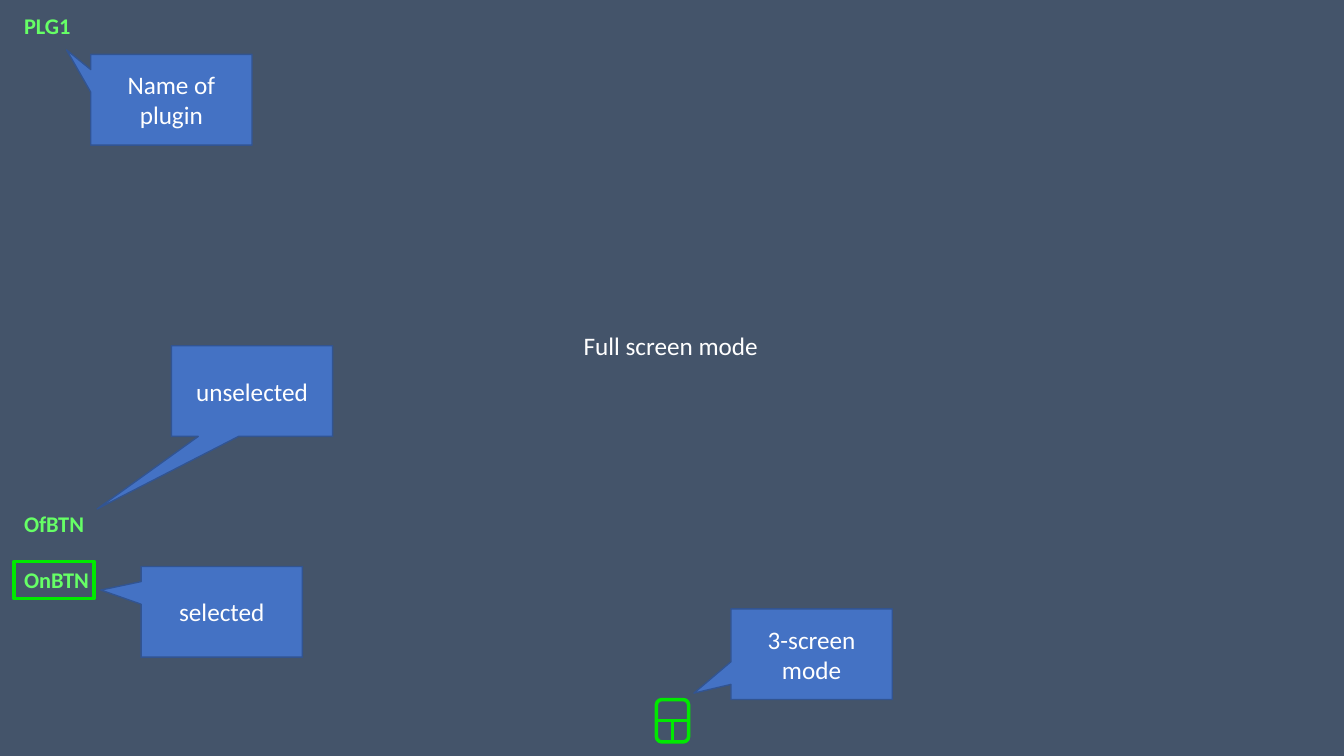
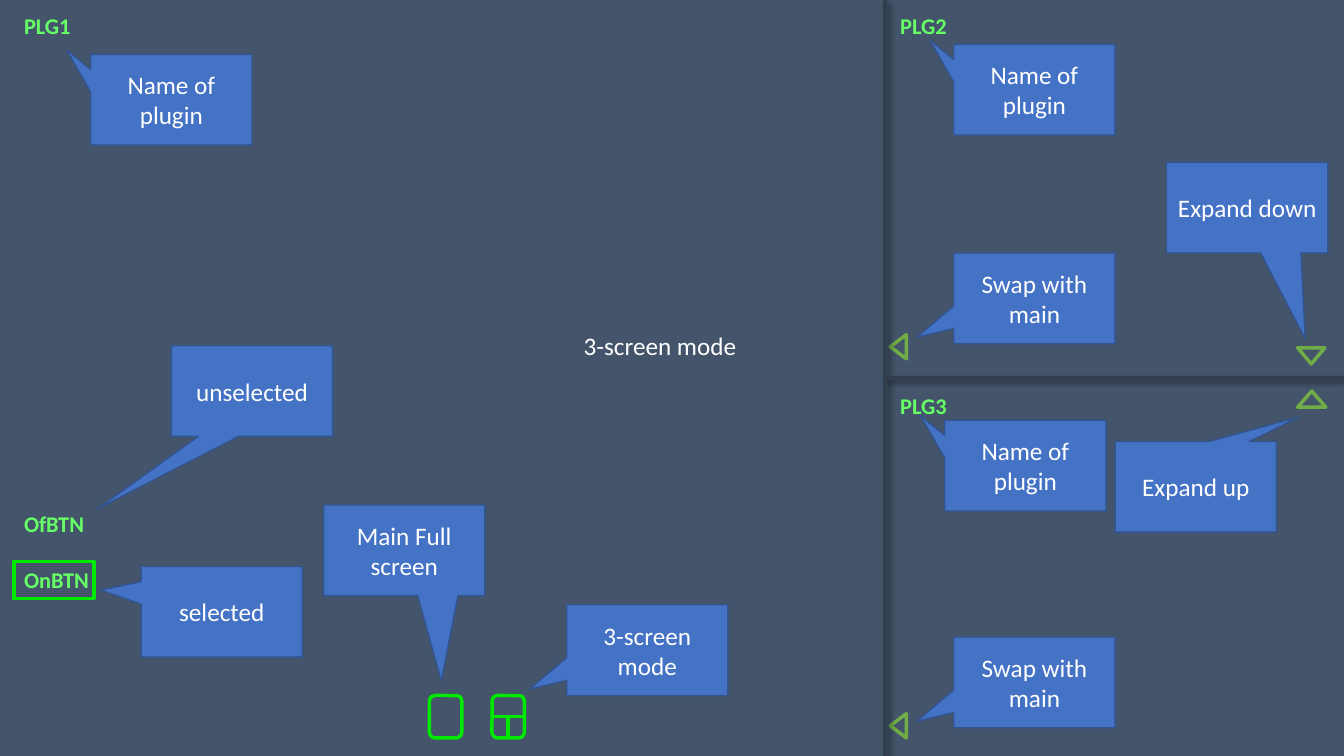
"""Build two annotated mock-ups of a plugin display: full screen and 3-screen mode."""
from lxml import etree
from pptx import Presentation
from pptx.dml.color import RGBColor
from pptx.enum.shapes import MSO_CONNECTOR, MSO_SHAPE
from pptx.enum.text import MSO_ANCHOR, MSO_AUTO_SIZE, PP_ALIGN
from pptx.oxml import parse_xml
from pptx.oxml.ns import nsdecls, qn
from pptx.util import Inches, Pt

CALLOUT, TRIANGLE = MSO_SHAPE.RECTANGULAR_CALLOUT, MSO_SHAPE.ISOSCELES_TRIANGLE
ROUNDED, STRAIGHT = MSO_SHAPE.ROUNDED_RECTANGLE, MSO_CONNECTOR.STRAIGHT
MIDDLE, CENTER = MSO_ANCHOR.MIDDLE, PP_ALIGN.CENTER
FIT_SHAPE = MSO_AUTO_SIZE.SHAPE_TO_FIT_TEXT

FONT = "Calibri"
BACKGROUND = RGBColor(0x44, 0x54, 0x6A)
DIVIDER = RGBColor(0x33, 0x3F, 0x50)
BLUE = RGBColor(0x44, 0x72, 0xC4)
BLUE_EDGE = RGBColor(0x32, 0x54, 0x91)
BRIGHT_GREEN = RGBColor(0x00, 0xE9, 0x00)
LABEL_GREEN = RGBColor(0x66, 0xFF, 0x66)
ARROW_GREEN = RGBColor(0x70, 0xAD, 0x47)
WHITE = RGBColor(0xFF, 0xFF, 0xFF)

WIDTH, HEIGHT = 13.33, 7.5
SPLIT_X, SPLIT_Y = 8.78, HEIGHT / 2
LABEL_SIZE = (0.79, 0.37)
CALLOUT_SIZE = (1.6, 0.9)
ICON_W, ICON_H = 0.32, 0.42
MODE_AT = (5.69, 3.23)

TO_NAME = (-0.65, -0.55)
TO_LOWER_LEFT = (-0.73, 0.43)

SHARED_LABELS = [("PLG1", 0.14, 0.07), ("OfBTN", 0.14, 5.01)]
SELECTED_LABEL = ("OnBTN", 0.14, 5.57)
SHARED_CALLOUTS = [
    ("Name of plugin", 0.9, 0.54, TO_NAME),
    ("unselected", 1.7, 3.43, (-0.96, 1.3)),
    ("selected", 1.4, 5.62, (-0.75, -0.24)),
]

SCREENS = [
    {
        "mode": ("Full screen mode", 1.95),
        "single_icons": [],
        "split_icon": (6.51, 6.94),
        "arrows": [],
        "dividers": [],
        "labels": [],
        "callouts": [("3-screen mode", 7.25, 6.04, TO_LOWER_LEFT)],
    },
    {
        "mode": ("3-screen mode", 1.73),
        "single_icons": [(4.26, 6.9)],
        "split_icon": (4.88, 6.9),
        "arrows": [
            (12.87, 3.88, 0.28, 0),
            (12.87, 3.45, 0.27, 180),
            (8.79, 3.36, 0.24, 270),
            (8.79, 7.12, 0.24, 270),
        ],
        "dividers": [
            (SPLIT_X, 0, SPLIT_X, HEIGHT),
            (WIDTH, SPLIT_Y, SPLIT_X, SPLIT_Y),
        ],
        "labels": [("PLG3", 8.83, 3.84), ("PLG2", 8.83, 0.07)],
        "callouts": [
            ("Name of plugin", 9.46, 0.44, TO_NAME),
            ("Swap with main", 9.46, 2.51, TO_LOWER_LEFT),
            ("Expand down", 11.57, 1.61, (0.36, 1.45)),
            ("Expand up", 11.06, 4.38, (0.64, -0.77)),
            ("Swap with main", 9.46, 6.32, TO_LOWER_LEFT),
            ("3-screen mode", 5.62, 6, TO_LOWER_LEFT),
            ("Main Full screen", 3.21, 5.01, (0.23, 1.44)),
            ("Name of plugin", 9.37, 4.17, TO_NAME),
        ],
    },
]


def inches(*lengths):
    return [Inches(length) for length in lengths]


def set_line(shape, color, width):
    shape.line.color.rgb = color
    shape.line.width = Pt(width)


def write(shape, text, size, color, bold=False):
    paragraph = shape.text_frame.paragraphs[0]
    run = paragraph.add_run()
    run.text = text
    run.font.name, run.font.size, run.font.bold = FONT, Pt(size), bold
    run.font.color.rgb = color
    return paragraph


def add_outline(shapes, preset, x, y, w, h, color):
    outline = shapes.add_shape(preset, *inches(x, y, w, h))
    outline.shadow.inherit = False
    outline.fill.background()
    set_line(outline, color, 2.5)
    return outline


def add_rule(shapes, ends, color, width):
    rule = shapes.add_connector(STRAIGHT, *inches(*ends))
    set_line(rule, color, width)
    return etree.SubElement(rule._element.spPr, qn("a:effectLst"))


def add_divider(shapes, ends):
    effects = add_rule(shapes, ends, DIVIDER, 2.75)
    effects.append(parse_xml(
        f'<a:outerShdw {nsdecls("a")} blurRad="{Pt(4)}" dist="{Pt(3)}" '
        f'dir="{45 * 60000}" algn="tl" rotWithShape="0">'
        '<a:srgbClr val="000000"><a:alpha val="40000"/></a:srgbClr></a:outerShdw>'
    ))


def add_screen_icon(shapes, x, y):
    add_outline(shapes, ROUNDED, x, y, ICON_W, ICON_H, BRIGHT_GREEN)


def add_split_icon(shapes, x, y):
    parts = shapes.add_group_shape().shapes
    add_screen_icon(parts, x, y)
    mid_x, mid_y = x + ICON_W / 2, y + ICON_H / 2
    for ends in [(x, mid_y, x + ICON_W, mid_y), (mid_x, mid_y, mid_x, y + ICON_H)]:
        add_rule(parts, ends, BRIGHT_GREEN, 2.5)


def add_label(shapes, text, x, y):
    label = shapes.add_textbox(*inches(x, y, *LABEL_SIZE))
    label.text_frame.word_wrap = False
    label.text_frame.margin_right = 0
    write(label, text, 16, LABEL_GREEN, bold=True)
    return label


def add_callout(shapes, text, x, y, tip):
    callout = shapes.add_shape(CALLOUT, *inches(x, y, *CALLOUT_SIZE))
    callout.adjustments[0], callout.adjustments[1] = tip
    callout.shadow.inherit = False
    callout.fill.solid()
    callout.fill.fore_color.rgb = BLUE
    set_line(callout, BLUE_EDGE, 1)
    callout.text_frame.word_wrap = True
    callout.text_frame.vertical_anchor = MIDDLE
    write(callout, text, 18, WHITE).alignment = CENTER


def add_mode(shapes, text, width):
    mode = shapes.add_textbox(*inches(*MODE_AT, width, 0.4))
    mode.text_frame.word_wrap = False
    mode.text_frame.auto_size = FIT_SHAPE
    write(mode, text, 18, WHITE)


def build_screen(deck, screen):
    slide = deck.slides.add_slide(deck.slide_layouts[6])
    slide.background.fill.solid()
    slide.background.fill.fore_color.rgb = BACKGROUND
    shapes = slide.shapes
    for place in screen["single_icons"]:
        add_screen_icon(shapes, *place)
    add_split_icon(shapes, *screen["split_icon"])
    set_line(add_label(shapes, *SELECTED_LABEL), BRIGHT_GREEN, 2.5)
    for x, y, width, angle in screen["arrows"]:
        add_outline(shapes, TRIANGLE, x, y, width, 0.16, ARROW_GREEN).rotation = angle
    for ends in screen["dividers"]:
        add_divider(shapes, ends)
    for label in screen["labels"] + SHARED_LABELS:
        add_label(shapes, *label)
    for callout in screen["callouts"] + SHARED_CALLOUTS:
        add_callout(shapes, *callout)
    add_mode(shapes, *screen["mode"])


def main():
    deck = Presentation()
    deck.slide_width, deck.slide_height = inches(WIDTH, HEIGHT)
    for screen in SCREENS:
        build_screen(deck, screen)
    deck.save("out.pptx")


if __name__ == "__main__":
    main()
